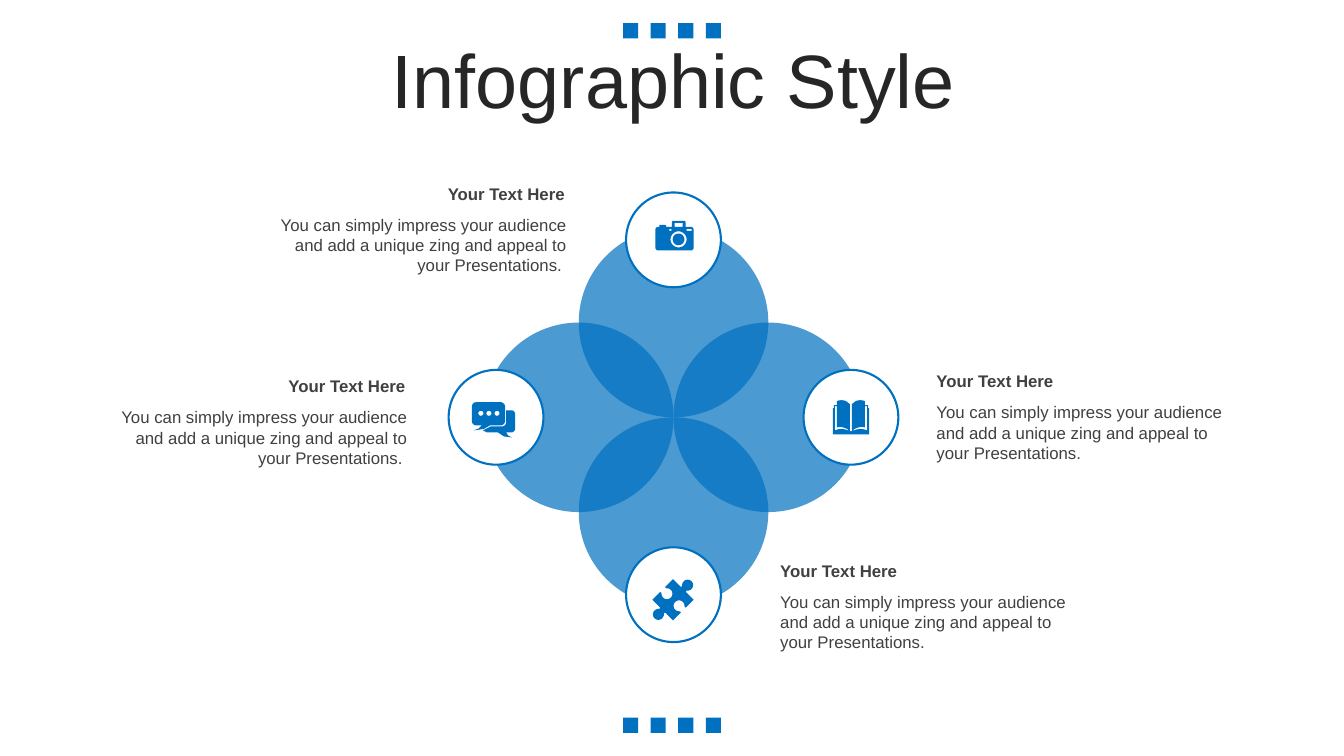
from math import cos, sin, radians
from lxml.etree import SubElement
from pptx import Presentation
from pptx.dml.color import RGBColor
from pptx.enum.shapes import MSO_SHAPE
from pptx.enum.text import MSO_ANCHOR, PP_ALIGN
from pptx.oxml.ns import qn
from pptx.util import Inches, Pt

BLUE, WHITE, INK, GREY = "0070C0", "FFFFFF", "262626", "404040"
BODY = ("You can simply impress your audience and add a unique zing "
        "and appeal to your Presentations.")


def paint(fill, color, alpha=100):
    fill.solid()
    fill.fore_color.rgb = RGBColor.from_string(color)
    if alpha < 100:
        tone = fill._xPr.find(qn("a:solidFill"))[0]
        SubElement(tone, qn("a:alpha"), val=str(alpha * 1000))


def add_form(slide, kind, x, y, size, color, alpha=100, edge=None):
    form = slide.shapes.add_shape(kind, Inches(x), Inches(y), Inches(size), Inches(size))
    form.shadow.inherit = False
    paint(form.fill, color, alpha)
    if edge:
        paint(form.line.fill, edge)
        form.line.width = Pt(1.5)
    else:
        form.line.fill.background()


def add_text(slide, box, text, size, color, align, bold=False):
    shape = slide.shapes.add_textbox(*[Inches(v) for v in box])
    frame = shape.text_frame
    frame.word_wrap = True
    frame.text = text
    line = frame.paragraphs[0]
    line.alignment = align
    font = line.runs[0].font
    font.name, font.size, font.bold = "Arial", Pt(size), bold
    font.color.rgb = RGBColor.from_string(color)
    return frame


# Icon outlines, in hundredths of an inch from the icon's corner
def arc(x, y, r, start, end, steps=12):
    turns = [radians(start + (end - start) * i / steps) for i in range(steps + 1)]
    return [(x + r * cos(t), y + r * sin(t)) for t in turns]


def ring(x, y, r):
    return arc(x, y, r, 0, 360, 36)


def block(x, y, w, h):
    return [(x, y), (x + w, y), (x + w, y + h), (x, y + h)]


def camera():
    body = (arc(3, 9, 3, 180, 270) + [(4, 6), (4, 4), (10, 4), (11, 6), (16.5, 6)]
            + arc(18, 1.5, 1.5, 180, 270) + arc(28.5, 1.5, 1.5, 270, 360)
            + [(30, 6)] + arc(35, 9, 3, 270, 360)
            + arc(35, 26.5, 3, 0, 90) + arc(3, 26.5, 3, 90, 180))
    return [body, ring(23, 18.5, 8), ring(23, 18.5, 5.8),
            block(14, 8, 2, 2), block(31, 8, 5, 2), block(19, 2, 8, 4)]


def chat():
    front = (arc(4.5, 4.5, 4.5, 180, 270) + arc(28.5, 4.5, 4.5, 270, 360)
             + arc(28.5, 18.5, 4.5, 0, 90)
             + [(18, 23), (12, 26.5), (2, 28), (7, 26), (10, 23)]
             + arc(4.5, 18.5, 4.5, 90, 180))
    back = ([(34, 8)] + arc(39, 12, 4, 270, 360) + arc(39, 26, 4, 0, 90)
            + [(34, 30), (36, 33), (40, 35), (32, 34), (26, 30), (15, 30),
               (11, 28), (19, 24)] + arc(30, 20, 4, 90, 0))
    return [front, back] + [ring(x, 11, 2.5) for x in (9, 17, 25)]


def book():
    left = [(18, 34), (0, 34), (0, 8), (1, 8), (1, 5), (4, 5), (4, 1), (6, 0.3),
            (9, 0), (12, 0.5), (14, 1.5), (17, 4), (17, 31), (15, 29), (12, 27.5),
            (8, 26.5), (4, 27), (4, 6), (2, 6), (2, 30), (5, 29), (8, 28.5),
            (12, 29), (18, 31)]
    return [left, [(36 - x, y) for x, y in left]]


def puzzle():
    half = ([(0, 11.5), (11, 11.5)] + arc(14.5, 5.5, 5.5, 125, 415)
            + [(18, 11.5), (29, 11.5), (29, 22.5)]
            + arc(23, 26, 5.5, -35, -325) + [(29, 29.5)])
    return [half + [(29 - x, 52 - y) for x, y in half]]


def add_icon(slide, x, y, paths, turn=0):
    paths = [[(Inches(a / 100), Inches(b / 100)) for a, b in path] for path in paths]
    pen = slide.shapes.build_freeform(*paths[0][0])
    for path in paths:
        if path is not paths[0]:
            pen.move_to(*path[0])
        pen.add_line_segments(path[1:], close=True)
    icon = pen.convert_to_shape(Inches(x), Inches(y))
    icon.shadow.inherit = False
    paint(icon.fill, BLUE)
    icon.line.fill.background()
    icon.rotation = turn


# Row of small squares
def add_dots(slide, x, y):
    for i in range(4):
        add_form(slide, MSO_SHAPE.RECTANGLE, x + i * 0.82 / 3, y, 0.15, BLUE)


# Heading
def add_title(slide, box):
    frame = add_text(slide, box, "Infographic Style", 54, INK, PP_ALIGN.CENTER)
    frame.vertical_anchor = MSO_ANCHOR.MIDDLE
    frame.paragraphs[0].line_spacing = 0.9


# Four petals around a centre, each with a round badge
def add_flower(slide, x, y):
    ways = [(0, -1), (-1, 0), (0, 1), (1, 0)]
    rad, reach, disc = 0.94, 1.76, 0.47
    for dx, dy in ways:
        add_form(slide, MSO_SHAPE.OVAL, x + rad * (dx - 1), y + rad * (dy - 1),
                 2 * rad, BLUE, 70)
    for dx, dy in ways:
        add_form(slide, MSO_SHAPE.OVAL, x + reach * dx - disc, y + reach * dy - disc,
                 2 * disc, WHITE, edge=BLUE)
    add_icon(slide, x - 0.18, y - 1.95, camera())
    add_icon(slide, x - 2, y - 0.15, chat())
    add_icon(slide, x - 0.15, y + 1.55, puzzle(), 45)
    add_icon(slide, x + 1.58, y - 0.17, book())


# Caption: bold head over body text
def add_note(slide, x, y, wide, right):
    align = PP_ALIGN.RIGHT if right else PP_ALIGN.LEFT
    body = BODY + " " if right else BODY
    add_text(slide, (x, y + 0.31, wide, 0.71), body, 12, GREY, align)
    add_text(slide, (x, y, wide - 0.02, 0.3), "Your Text Here", 12, GREY, align, True)


def main():
    deck = Presentation()
    deck.slide_width, deck.slide_height = Inches(13.33), Inches(7.5)
    slide = deck.slides.add_slide(deck.slide_layouts[6])
    for y in (0.23, 7.12):
        add_dots(slide, 6.18, y)
    add_title(slide, (0.35, 0.44, 12.66, 0.79))
    add_flower(slide, 6.68, 4.14)
    for note in [(2.59, 1.77, 3.13, True), (0.98, 3.68, 3.16, True),
                 (7.64, 5.51, 3.13, False), (9.19, 3.63, 3.16, False)]:
        add_note(slide, *note)
    deck.save("out.pptx")


if __name__ == "__main__":
    main()
